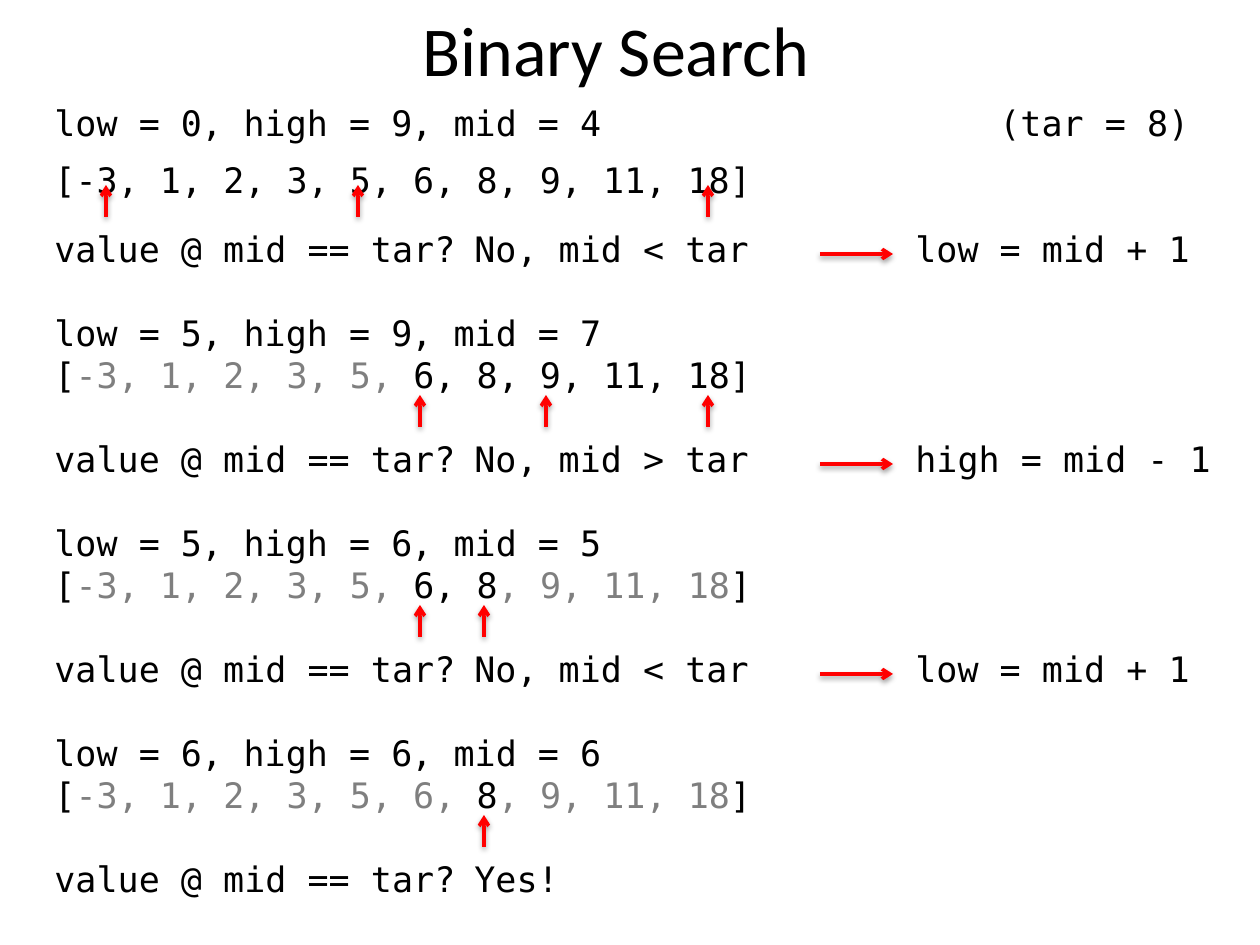
import dataclasses

import lxml.etree
import pptx
import pptx.dml.color
import pptx.enum.shapes
import pptx.enum.text
import pptx.oxml
import pptx.oxml.ns
import pptx.util

SCALE = 914400 // 126
MONO = "DejaVu Sans Mono"
BLACK, GRAY, RED = "000000", "7F7F7F", "FF0000"
LEFT, TOP, PITCH = 42, 95, 210
VALUES = [-3, 1, 2, 3, 5, 6, 8, 9, 11, 18]
SPOTS = {0: 106, 4: 358, 5: 420, 6: 484, 7: 546, 9: 708}
SHADOW = (
    f'<a:effectLst {pptx.oxml.ns.nsdecls("a")}>'
    '<a:outerShdw blurRad="40000" dist="20000" dir="5400000" rotWithShape="0">'
    '<a:srgbClr val="000000"><a:alpha val="38000"/></a:srgbClr>'
    '</a:outerShdw></a:effectLst>'
)


@dataclasses.dataclass
class Round:
    low: int
    high: int
    mid: int
    reply: str
    move: str = ""
    drop: int = 42


ROUNDS = [
    Round(0, 9, 4, "No, mid < tar", "low = mid + 1", 57),
    Round(5, 9, 7, "No, mid > tar", "high = mid - 1"),
    Round(5, 6, 5, "No, mid < tar", "low = mid + 1"),
    Round(6, 6, 6, "Yes!"),
]


def px(size: int) -> int:
    return pptx.util.Emu(size * SCALE)


def tint(code: str) -> pptx.dml.color.RGBColor:
    return pptx.dml.color.RGBColor.from_string(code)


def style(run, face: str, size: int, code: str) -> None:
    run.font.name = face
    run.font.size = pptx.util.Pt(size)
    run.font.color.rgb = tint(code)


def write(slide, x: int, y: int, *parts: tuple[str, str]) -> None:
    count = sum(len(text) for text, code in parts)
    box = slide.shapes.add_textbox(px(x), px(y), px(count * 21 + 32), px(55))
    frame = box.text_frame
    frame.word_wrap = True
    for text, code in parts:
        if text:
            run = frame.paragraphs[0].add_run()
            run.text = text
            style(run, MONO, 20, code)


def arrow(slide, x: int, y: int, to_x: int, to_y: int) -> None:
    kind = pptx.enum.shapes.MSO_CONNECTOR.STRAIGHT
    line = slide.shapes.add_connector(kind, px(x), px(y), px(to_x), px(to_y))
    line.line.color.rgb = tint(RED)
    line.line.width = pptx.util.Pt(2)
    pen = line.line._get_or_add_ln()
    lxml.etree.SubElement(pen, pptx.oxml.ns.qn("a:tailEnd"), type="arrow")
    line._element.spPr.append(pptx.oxml.parse_xml(SHADOW))


def join(items: list[int]) -> str:
    return ", ".join(str(item) for item in items)


def draw(slide, step: Round, y: int) -> None:
    write(slide, LEFT, y, (f"low = {step.low}", BLACK))
    write(slide, 189, y, (f", high = {step.high}", BLACK))
    write(slide, 399, y, (f", mid = {step.mid}", BLACK))

    past = VALUES[:step.low]
    live = VALUES[step.low:step.high + 1]
    rest = VALUES[step.high + 1:]
    write(
        slide, LEFT, y + step.drop,
        ("[", BLACK),
        (join(past) + ", " if past else "", GRAY),
        (join(live), BLACK),
        (", " + join(rest) if rest else "", GRAY),
        ("]", BLACK),
    )
    for spot in sorted({step.low, step.mid, step.high}):
        arrow(slide, SPOTS[spot], y + 122, SPOTS[spot], y + 90)

    write(slide, LEFT, y + 126, ("value @ mid == tar?", BLACK))
    write(slide, 462, y + 126, (step.reply, BLACK))
    if step.move:
        arrow(slide, 820, y + 159, 893, y + 159)
        write(slide, 903, y + 126, (step.move, BLACK))


def head(slide, text: str) -> None:
    title = slide.shapes.title
    title.left, title.top = px(410), px(0)
    title.width, title.height = px(420), px(97)
    frame = title.text_frame
    frame.text = text
    frame.auto_size = pptx.enum.text.MSO_AUTO_SIZE.NONE
    frame.vertical_anchor = pptx.enum.text.MSO_ANCHOR.TOP
    frame.paragraphs[0].alignment = pptx.enum.text.PP_ALIGN.LEFT
    style(frame.paragraphs[0].runs[0], "Calibri", 40, BLACK)


def main() -> None:
    deck = pptx.Presentation()
    deck.slide_width, deck.slide_height = px(1260), px(945)
    slide = deck.slides.add_slide(deck.slide_layouts[5])
    head(slide, "Binary Search")
    write(slide, 987, TOP, ("(tar = 8)", BLACK))
    for index, step in enumerate(ROUNDS):
        draw(slide, step, TOP + index * PITCH)
    deck.save("out.pptx")


main()
